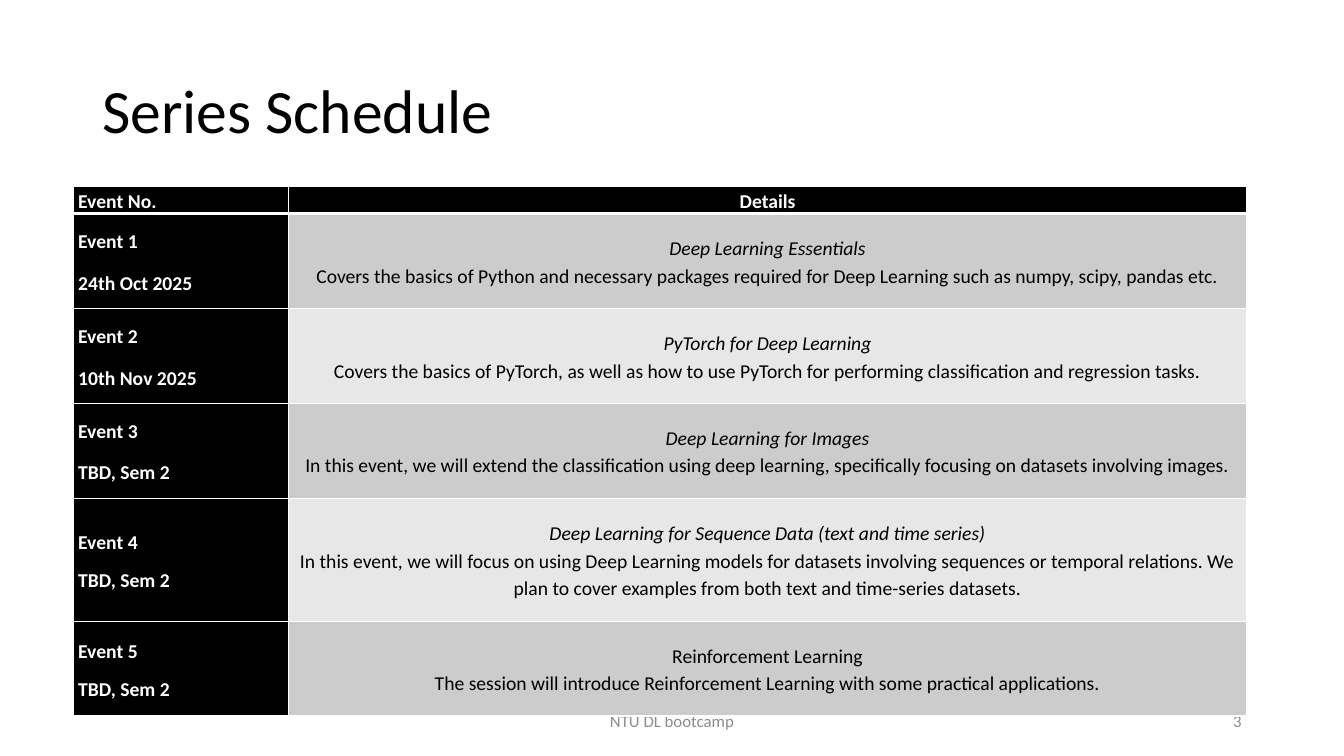
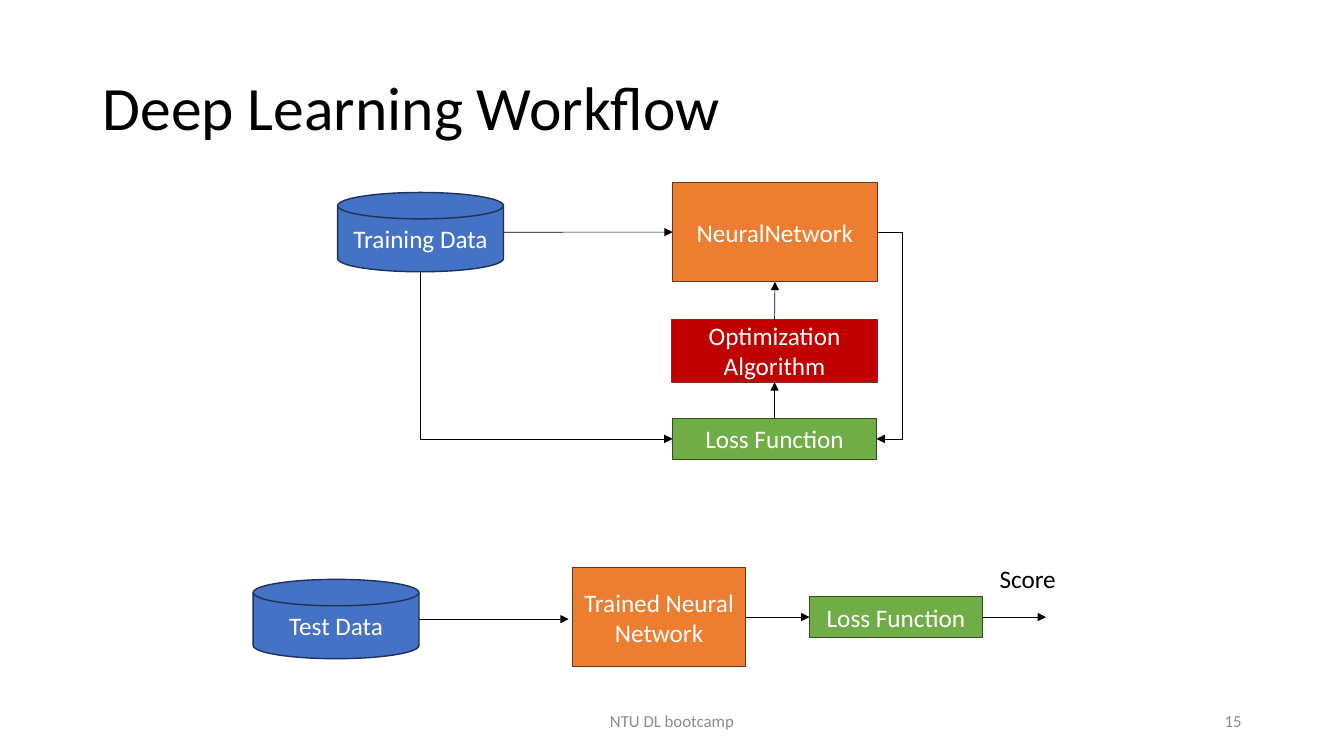
from dataclasses import dataclass

import lxml.etree
import pptx
import pptx.dml.color
import pptx.enum.shapes
import pptx.enum.text
import pptx.oxml
import pptx.oxml.ns
import pptx.presentation
import pptx.shapes.autoshape
import pptx.shapes.connector
import pptx.slide
import pptx.table
import pptx.text.text
import pptx.util
from pptx.dml.color import RGBColor
from pptx.enum.shapes import MSO_CONNECTOR, MSO_SHAPE
from pptx.enum.text import MSO_ANCHOR, MSO_AUTO_SIZE, PP_ALIGN
from pptx.util import Cm, Pt

FONT = "Calibri"
BLACK = RGBColor(0x00, 0x00, 0x00)
WHITE = RGBColor(0xFF, 0xFF, 0xFF)
FOOTER_GRAY = RGBColor(0x8C, 0x8C, 0x8C)
BAND_DARK = RGBColor(0xCC, 0xCC, 0xCC)
BAND_LIGHT = RGBColor(0xE7, 0xE7, 0xE7)
BLUE = RGBColor(0x44, 0x72, 0xC4)
BLUE_EDGE = RGBColor(0x1E, 0x32, 0x56)
ORANGE = RGBColor(0xED, 0x7D, 0x31)
BROWN_EDGE = RGBColor(0x68, 0x37, 0x15)
RED = RGBColor(0xC0, 0x00, 0x00)
GREEN = RGBColor(0x70, 0xAD, 0x47)
GREEN_EDGE = RGBColor(0x31, 0x4C, 0x1F)

TOP, LEFT, BOTTOM, RIGHT = range(4)


@dataclass(frozen=True)
class Event:
    name: str
    date: str
    topic: str
    summary: str
    row_height: float = 2.39
    topic_italic: bool = True
    loose_date: bool = True


@dataclass(frozen=True)
class NodeStyle:
    preset: MSO_SHAPE
    fill: RGBColor
    edge: RGBColor


@dataclass(frozen=True)
class Node:
    """A labelled box of the workflow, measured in centimetres."""
    label: str
    style: NodeStyle
    left: float
    top: float
    width: float
    height: float

    @property
    def right(self) -> float:
        return self.left + self.width

    @property
    def bottom(self) -> float:
        return self.top + self.height

    @property
    def center_x(self) -> float:
        return self.left + self.width / 2

    @property
    def center_y(self) -> float:
        return self.top + self.height / 2


EVENTS = [
    Event("Event 1", "24th Oct 2025", "Deep Learning Essentials",
          "Covers the basics of Python and necessary packages required for Deep Learning "
          "such as numpy, scipy, pandas etc."),
    Event("Event 2", "10th Nov 2025", "PyTorch for Deep Learning",
          "Covers the basics of PyTorch, as well as how to use PyTorch for performing "
          "classification and regression tasks."),
    Event("Event 3", "TBD, Sem 2", "Deep Learning for Images",
          "In this event, we will extend the classification using deep learning, "
          "specifically focusing on datasets involving images."),
    Event("Event 4", "TBD, Sem 2", "Deep Learning for Sequence Data (text and time series)",
          "In this event, we will focus on using Deep Learning models for datasets involving "
          "sequences or temporal relations. We plan to cover examples from both text and "
          "time-series datasets.", row_height=3.1, loose_date=False),
    Event("Event 5", "TBD, Sem 2", "Reinforcement Learning",
          "The session will introduce Reinforcement Learning with some practical "
          "applications.", topic_italic=False, loose_date=False),
]

DATA = NodeStyle(MSO_SHAPE.FLOWCHART_MAGNETIC_DISK, BLUE, BLUE_EDGE)
NETWORK = NodeStyle(MSO_SHAPE.RECTANGLE, ORANGE, BROWN_EDGE)
OPTIMIZER = NodeStyle(MSO_SHAPE.RECTANGLE, RED, BROWN_EDGE)
LOSS = NodeStyle(MSO_SHAPE.RECTANGLE, GREEN, GREEN_EDGE)


def add_run(paragraph: pptx.text.text._Paragraph, text: str, size: float, color: RGBColor,
            bold: bool = False, italic: bool = False) -> None:
    run = paragraph.add_run()
    run.text = text
    run.font.name = FONT
    run.font.size = Pt(size)
    run.font.color.rgb = color
    run.font.bold = bold
    run.font.italic = italic


def add_label(slide: pptx.slide.Slide, text: str, left: float, top: float, width: float,
              size: float, color: RGBColor, alignment: PP_ALIGN) -> None:
    text_box = slide.shapes.add_textbox(Cm(left), Cm(top), Cm(width), Cm(1.02))
    frame = text_box.text_frame
    frame.word_wrap = True
    frame.vertical_anchor = MSO_ANCHOR.MIDDLE
    frame.paragraphs[0].alignment = alignment
    add_run(frame.paragraphs[0], text, size, color)


def add_titled_slide(presentation: pptx.presentation.Presentation, title: str,
                     title_top: float, number: int) -> pptx.slide.Slide:
    """Add a slide with the shared title style, footer and slide number."""
    slide = presentation.slides.add_slide(presentation.slide_layouts[5])
    shape = slide.shapes.title
    shape.left, shape.top = Cm(2.33), Cm(title_top)
    shape.width, shape.height = Cm(29.21), Cm(3.68)
    frame = shape.text_frame
    frame.auto_size = MSO_AUTO_SIZE.NONE
    frame.vertical_anchor = MSO_ANCHOR.MIDDLE
    paragraph = frame.paragraphs[0]
    paragraph.alignment = PP_ALIGN.LEFT
    paragraph.line_spacing = 0.9
    add_run(paragraph, title, 44, BLACK)
    add_label(slide, "NTU DL bootcamp", 11.22, 17.65, 11.43, 12, FOOTER_GRAY, PP_ALIGN.CENTER)
    add_label(slide, str(number), 23.92, 17.65, 7.62, 12, FOOTER_GRAY, PP_ALIGN.RIGHT)
    return slide


def set_borders(cell: pptx.table._Cell, top: float = 1, bottom: float = 1) -> None:
    """Draw white borders; widths are in points."""
    properties = cell._tc.get_or_add_tcPr()
    widths = {"lnL": 1, "lnR": 1, "lnT": top, "lnB": bottom}
    for index, (tag, width) in enumerate(widths.items()):
        line = pptx.oxml.parse_xml(
            f'<a:{tag} {pptx.oxml.ns.nsdecls("a")} w="{Pt(width)}">'
            f'<a:solidFill><a:srgbClr val="{WHITE}"/></a:solidFill></a:{tag}>')
        properties.insert(index, line)


def format_cell(cell: pptx.table._Cell, fill: RGBColor) -> None:
    cell.fill.solid()
    cell.fill.fore_color.rgb = fill
    cell.vertical_anchor = MSO_ANCHOR.MIDDLE
    cell.margin_left = cell.margin_right = Cm(0.13)
    cell.margin_top = cell.margin_bottom = 0


def format_paragraph(paragraph: pptx.text.text._Paragraph, alignment: PP_ALIGN,
                     loose: bool = True) -> None:
    paragraph.alignment = alignment
    if loose:
        paragraph.line_spacing = 1.15
        paragraph.space_after = Pt(10)


def fill_event_row(table: pptx.table.Table, row: int, event: Event) -> None:
    name_cell, details_cell = table.cell(row, 0), table.cell(row, 1)
    format_cell(name_cell, BLACK)
    format_cell(details_cell, BAND_DARK if row % 2 else BAND_LIGHT)
    for cell in (name_cell, details_cell):
        set_borders(cell, top=3 if row == 1 else 1)

    name = name_cell.text_frame.paragraphs[0]
    format_paragraph(name, PP_ALIGN.JUSTIFY)
    add_run(name, event.name, 14, WHITE, bold=True)
    date = name_cell.text_frame.add_paragraph()
    format_paragraph(date, PP_ALIGN.JUSTIFY, event.loose_date)
    add_run(date, event.date, 14, WHITE, bold=True)

    details = details_cell.text_frame.paragraphs[0]
    format_paragraph(details, PP_ALIGN.CENTER)
    add_run(details, event.topic, 14, BLACK, italic=event.topic_italic)
    details.add_line_break()
    add_run(details, event.summary, 14, BLACK)


def build_schedule(presentation: pptx.presentation.Presentation) -> None:
    slide = add_titled_slide(presentation, "Series Schedule", 1.02, 3)
    heights = [0.66] + [event.row_height for event in EVENTS]
    widths = [5.44, 24.13]
    table = slide.shapes.add_table(len(heights), len(widths), Cm(1.84), Cm(4.7),
                                   Cm(sum(widths)), Cm(sum(heights))).table
    table.first_row = table.horz_banding = False
    for column, width in zip(table.columns, widths):
        column.width = Cm(width)
    for row, height in zip(table.rows, heights):
        row.height = Cm(height)
    headings = [("Event No.", PP_ALIGN.JUSTIFY), ("Details", PP_ALIGN.CENTER)]
    for column_index, (heading, alignment) in enumerate(headings):
        cell = table.cell(0, column_index)
        format_cell(cell, BLACK)
        set_borders(cell, bottom=3)
        paragraph = cell.text_frame.paragraphs[0]
        format_paragraph(paragraph, alignment)
        add_run(paragraph, heading, 14, WHITE, bold=True)
    for row_index, event in enumerate(EVENTS, start=1):
        fill_event_row(table, row_index, event)


def add_node(slide: pptx.slide.Slide, node: Node) -> pptx.shapes.autoshape.Shape:
    shape = slide.shapes.add_shape(node.style.preset, Cm(node.left), Cm(node.top),
                                   Cm(node.width), Cm(node.height))
    shape.shadow.inherit = False
    shape.fill.solid()
    shape.fill.fore_color.rgb = node.style.fill
    shape.line.color.rgb = node.style.edge
    shape.line.width = Pt(1)
    frame = shape.text_frame
    frame.word_wrap = True
    frame.vertical_anchor = MSO_ANCHOR.MIDDLE
    frame.paragraphs[0].alignment = PP_ALIGN.CENTER
    add_run(frame.paragraphs[0], node.label, 18, WHITE)
    return shape


def add_arrow(slide: pptx.slide.Slide, start: tuple[float, float], end: tuple[float, float],
              kind: MSO_CONNECTOR = MSO_CONNECTOR.STRAIGHT) -> pptx.shapes.connector.Connector:
    arrow = slide.shapes.add_connector(kind, *(Cm(value) for value in start + end))
    arrow.line.color.rgb = BLACK
    arrow.line.width = Pt(0.5)
    line = arrow.line._get_or_add_ln()
    lxml.etree.SubElement(line, pptx.oxml.ns.qn("a:tailEnd"), type="triangle")
    lxml.etree.SubElement(arrow._element.spPr, pptx.oxml.ns.qn("a:effectLst"))
    return arrow


def add_side_loop(slide: pptx.slide.Slide, source: Node, target: Node, reach: float) -> None:
    """Lead an arrow out of the source's right side and back into the target's."""
    arrow = add_arrow(slide, (source.right, source.center_y), (target.right, target.center_y),
                      MSO_CONNECTOR.ELBOW)
    bend = -round(100000 * Cm(reach) / arrow.width)
    adjustments = arrow._element.spPr.prstGeom.get_or_add_avLst()
    lxml.etree.SubElement(adjustments, pptx.oxml.ns.qn("a:gd"), name="adj1", fmla=f"val {bend}")


def add_corner_arrow(slide: pptx.slide.Slide, source: Node, target: Node) -> None:
    """Lead an arrow down from the source, then right into the target."""
    arrow = add_arrow(slide, (source.center_x, source.bottom), (target.left, target.center_y),
                      MSO_CONNECTOR.ELBOW)
    across, down = arrow.width, arrow.height
    arrow.left += (across - down) // 2
    arrow.top += (down - across) // 2
    arrow.width, arrow.height = down, across
    properties = arrow._element.spPr
    properties.prstGeom.set("prst", "bentConnector2")
    properties.xfrm.set("rot", str(270 * 60000))
    properties.xfrm.set("flipH", "1")


def build_workflow(presentation: pptx.presentation.Presentation) -> None:
    slide = add_titled_slide(presentation, "Deep Learning Workflow", 0.94, 15)

    training = Node("Training Data", DATA, 8.51, 4.85, 4.18, 2)
    network = Node("NeuralNetwork", NETWORK, 16.95, 4.6, 5.16, 2.5)
    optimizer = Node("Optimization Algorithm", OPTIMIZER, 16.93, 8.05, 5.18, 1.58)
    loss = Node("Loss Function", LOSS, 16.95, 10.54, 5.14, 1.04)
    test = Node("Test Data", DATA, 6.38, 14.6, 4.18, 2)
    trained = Node("Trained Neural Network", NETWORK, 14.43, 14.3, 4.36, 2.5)
    test_loss = Node("Loss Function", LOSS, 20.4, 15.03, 4.36, 1.04)
    nodes = (training, network, optimizer, loss, test, trained, test_loss)
    shapes = {node: add_node(slide, node) for node in nodes}

    arrow = add_arrow(slide, (training.right, training.center_y),
                      (network.left, network.center_y))
    arrow.end_connect(shapes[network], LEFT)
    for source, target in ((loss, optimizer), (optimizer, network)):
        arrow = add_arrow(slide, (source.center_x, source.top),
                          (target.center_x, target.bottom))
        arrow.begin_connect(shapes[source], TOP)
        arrow.end_connect(shapes[target], BOTTOM)
    add_side_loop(slide, network, loss, 0.64)
    add_corner_arrow(slide, training, loss)

    add_arrow(slide, (test.right, test.center_y), (14.33, test.center_y))
    arrow = add_arrow(slide, (trained.right, trained.center_y),
                      (test_loss.left, test_loss.center_y))
    arrow.begin_connect(shapes[trained], RIGHT)
    arrow.end_connect(shapes[test_loss], LEFT)
    arrow = add_arrow(slide, (test_loss.right, test_loss.center_y), (26.36, test_loss.center_y))
    arrow.begin_connect(shapes[test_loss], RIGHT)
    add_label(slide, "Score", 24.94, 14.07, 2.16, 18, BLACK, PP_ALIGN.LEFT)


def main() -> None:
    presentation = pptx.Presentation()
    presentation.slide_width, presentation.slide_height = Cm(33.87), Cm(19.05)
    build_schedule(presentation)
    build_workflow(presentation)
    presentation.save("out.pptx")


if __name__ == "__main__":
    main()
